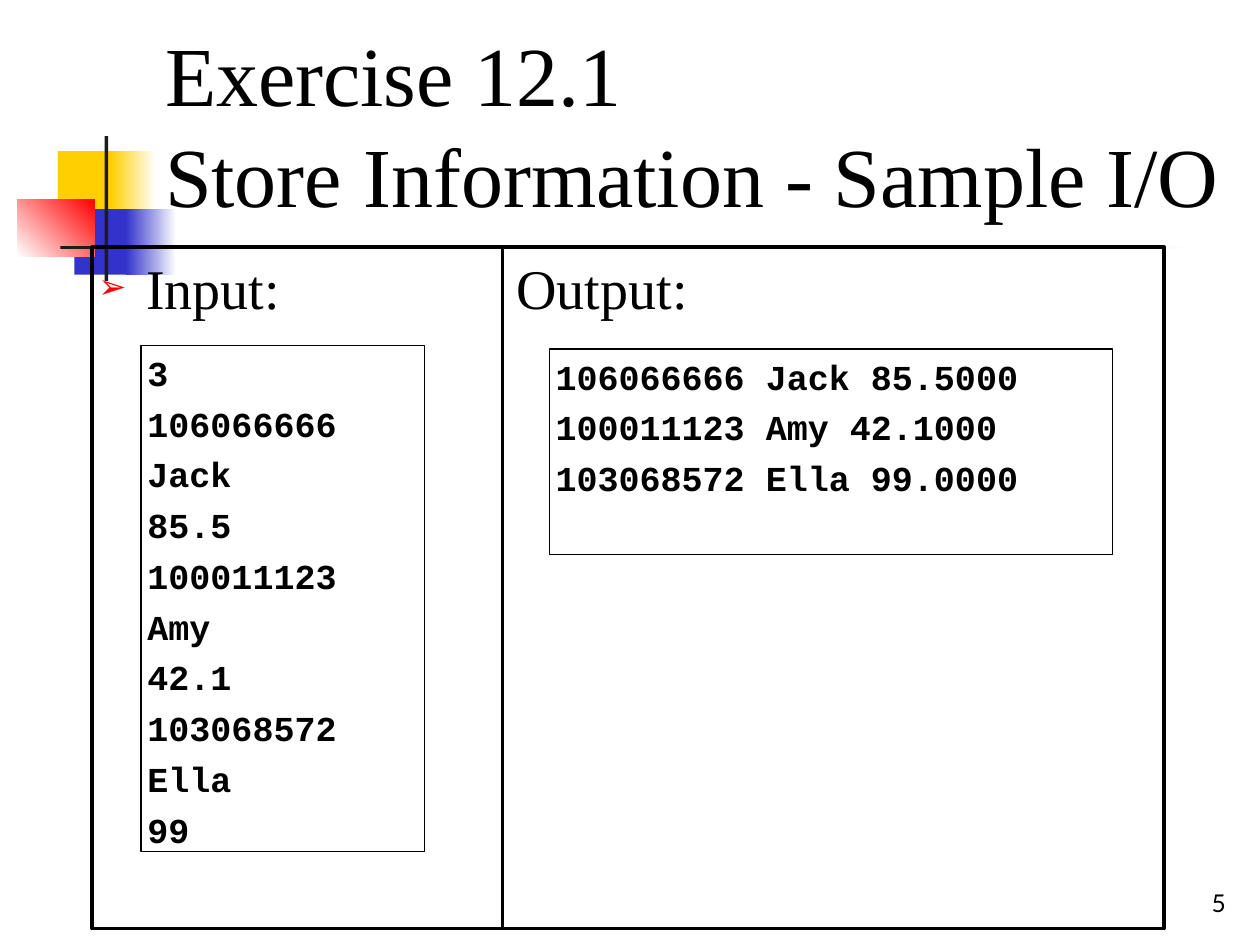
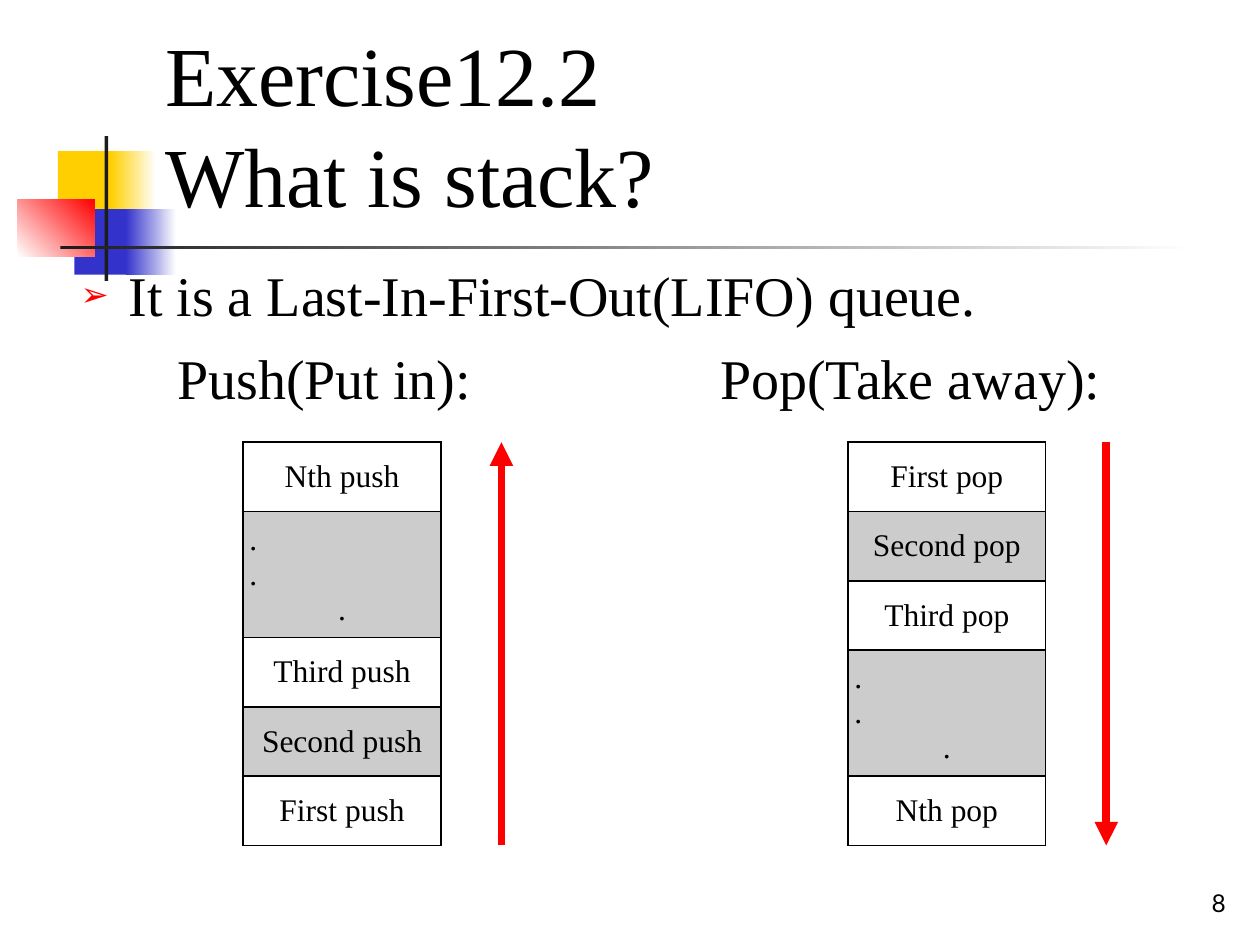
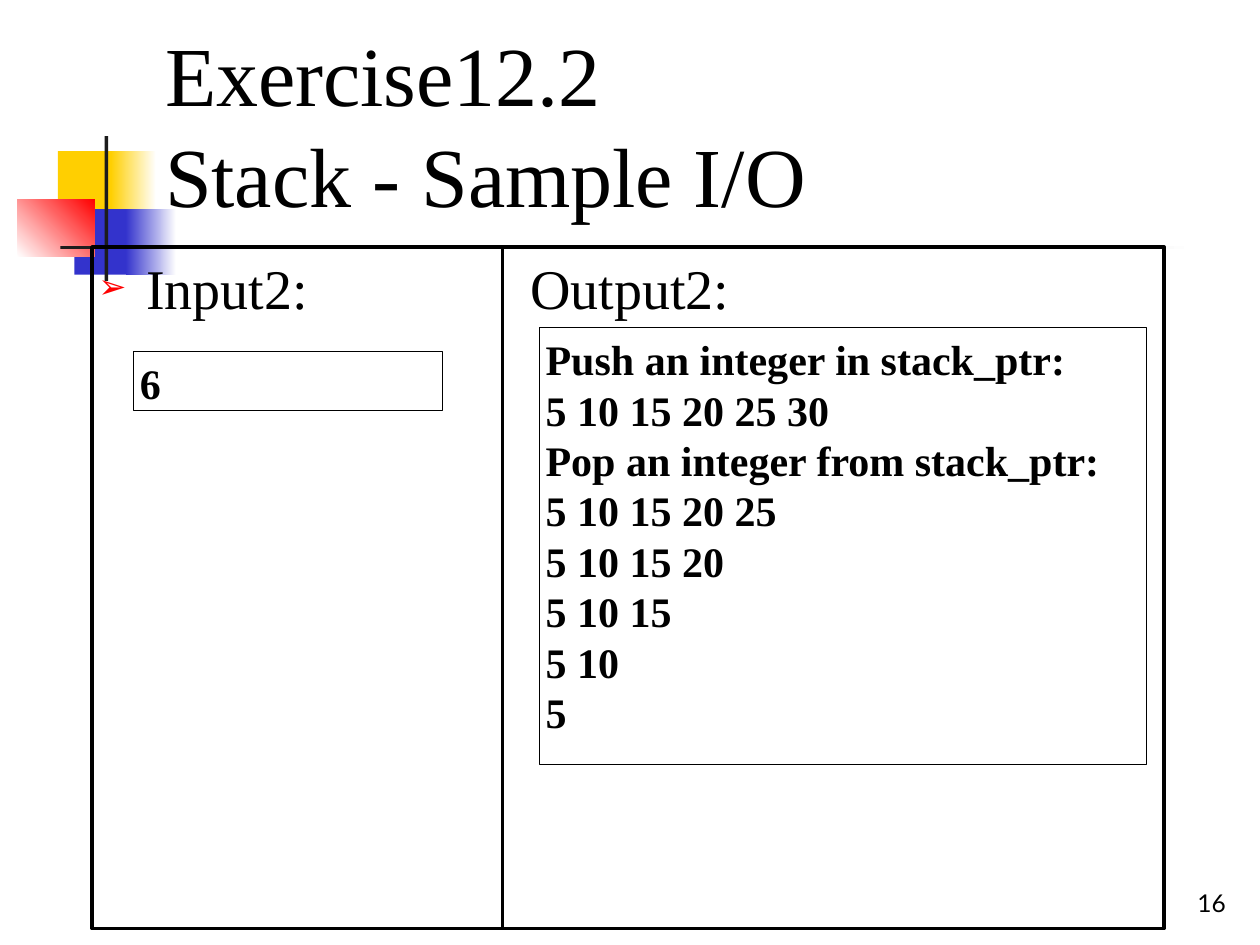
from lxml import etree
from pptx import Presentation
from pptx.dml.color import RGBColor
from pptx.enum.dml import MSO_FILL
from pptx.enum.shapes import MSO_CONNECTOR, MSO_SHAPE
from pptx.enum.text import MSO_ANCHOR, MSO_AUTO_SIZE, PP_ALIGN
from pptx.oxml.ns import qn
from pptx.util import Inches, Pt

BLACK = RGBColor(0x00, 0x00, 0x00)
WHITE = RGBColor(0xFF, 0xFF, 0xFF)
CHARCOAL = RGBColor(0x1C, 0x1C, 0x1C)
YELLOW = RGBColor(0xFF, 0xCF, 0x01)
BLUE = RGBColor(0x33, 0x33, 0xCC)
RED = RGBColor(0xFF, 0x00, 0x00)
GREY = RGBColor(0xCC, 0xCC, 0xCC)

SERIF = "Times New Roman"
MONO = "Courier New"
NUMBER_FONT = "Lato"
INSET = Inches(0.05)

# box, colours (two make a gradient), gradient angle
ORNAMENTS = [
    ((0.46, 1.2, 0.48, 0.52), (YELLOW,), 0),
    ((0.88, 1.2, 0.36, 0.52), (YELLOW, WHITE), 0),
    ((0.59, 1.66, 0.46, 0.52), (BLUE,), 0),
    ((1, 1.66, 0.4, 0.52), (BLUE, WHITE), 0),
    ((0.14, 1.58, 0.61, 0.46), (WHITE, RED), 45),
    ((0.83, 1.08, 0.03, 1.15), (CHARCOAL,), 0),
    ((0.48, 1.95, 9, 0.03), (CHARCOAL, WHITE), 0),
]
TITLE_BOX = (1.26, 0.23, 8.52, 1.6)
FRAME_BOX = (0.73, 1.96, 8.51, 5.41)
DIVIDER_OFFSET = 3.26
ROW_HEIGHT, DOTS_HEIGHT = 0.55, 1.0
DOTS = "..."


def place(shape, box):
    shape.left, shape.top, shape.width, shape.height = map(Inches, box)


def write(shape, lines, size, font=SERIF, bold=False, align=PP_ALIGN.LEFT,
          before=0, anchor=MSO_ANCHOR.TOP, wrap=True):
    """Fill a shape with one paragraph per line, all in one style."""
    frame = shape.text_frame
    frame.auto_size = MSO_AUTO_SIZE.NONE
    frame.word_wrap = wrap
    frame.vertical_anchor = anchor
    frame.margin_left = frame.margin_right = INSET
    frame.margin_top = frame.margin_bottom = INSET
    for index, line in enumerate(lines):
        paragraph = frame.add_paragraph() if index else frame.paragraphs[0]
        paragraph.space_before = Pt(before)
        add_run(paragraph, line, size, font, bold, align)


def add_run(paragraph, text, size, font=SERIF, bold=False, align=PP_ALIGN.CENTER):
    paragraph.alignment = align
    run = paragraph.add_run()
    run.text = text
    run.font.size = Pt(size)
    run.font.name = font
    run.font.bold = bold
    run.font.color.rgb = BLACK


def write_bullet(body, text):
    write(body, [text], 32, before=7)
    properties = body.text_frame.paragraphs[0]._p.get_or_add_pPr()
    properties.set("marL", str(Inches(0.38)))
    properties.set("indent", str(-Inches(0.38)))
    colour = etree.SubElement(properties, qn("a:buClr"))
    etree.SubElement(colour, qn("a:srgbClr"), val=str(RED))
    etree.SubElement(properties, qn("a:buSzPct"), val="60000")
    etree.SubElement(properties, qn("a:buFont"), typeface="Wingdings 2")
    etree.SubElement(properties, qn("a:buChar"), char="➢")
    properties.find(qn("a:buFont")).set("typeface", "Arial")


def add_heading(slide, box, text, align=PP_ALIGN.LEFT):
    heading = slide.shapes.add_textbox(*map(Inches, box))
    write(heading, [text], 32, align=align, before=7)


def add_line(slide, start, end, colour, width, arrow=False):
    line = slide.shapes.add_connector(
        MSO_CONNECTOR.STRAIGHT, *map(Inches, (*start, *end)))
    line.line.color.rgb = colour
    line.line.width = Pt(width)
    if arrow:
        etree.SubElement(line.line._get_or_add_ln(), qn("a:tailEnd"), type="triangle")
    etree.SubElement(line._element.spPr, qn("a:effectLst"))


def move_ornaments_to_master(slide, master):
    """Draw the corner squares and rules, then hand them to the master."""
    for index, (box, colours, angle) in enumerate(ORNAMENTS):
        ornament = slide.shapes.add_shape(MSO_SHAPE.RECTANGLE, *map(Inches, box))
        ornament.shadow.inherit = False
        ornament.line.fill.background()
        fill = ornament.fill
        if len(colours) == 1:
            fill.solid()
            fill.fore_color.rgb = colours[0]
        else:
            fill.gradient()
            fill.gradient_angle = angle
            for position, (stop, colour) in enumerate(zip(fill.gradient_stops, colours)):
                stop.position = position
                stop.color.rgb = colour
        master.shapes.element.insert(2 + index, ornament.element)


def add_titled_slide(deck, title_lines, number):
    slide = deck.slides.add_slide(deck.slide_layouts[1])
    place(slide.shapes.title, TITLE_BOX)
    write(slide.shapes.title, title_lines, 48, anchor=MSO_ANCHOR.BOTTOM)
    page = slide.shapes.add_textbox(*map(Inches, (9.28, 6.99, 0.5, 0.34)))
    write(page, [str(number)], 14, NUMBER_FONT, align=PP_ALIGN.RIGHT,
          anchor=MSO_ANCHOR.BOTTOM)
    return slide


def add_sample(slide, box, lines, size, font=SERIF, before=0):
    sample = slide.shapes.add_shape(MSO_SHAPE.RECTANGLE, *map(Inches, box))
    sample.shadow.inherit = False
    sample.fill.background()
    sample.line.color.rgb = BLACK
    sample.line.width = Pt(0.75)
    write(sample, lines, size, font, True, before=before)


def add_io_frame(slide, box, input_label, output_label, output_offset):
    left, top, width, height = box
    frame = slide.placeholders[1]
    place(frame, box)
    frame.line.color.rgb = BLACK
    frame.line.width = Pt(2)
    write_bullet(frame, input_label)
    add_heading(slide, (left + output_offset, top, 3, 0.65), output_label)
    divider = left + DIVIDER_OFFSET
    add_line(slide, (divider, top + height), (divider, top), BLACK, 2)


def border_cell(cell):
    properties = cell._tc.get_or_add_tcPr()
    for index, side in enumerate(("a:lnL", "a:lnR", "a:lnT", "a:lnB")):
        border = etree.Element(qn(side), w=str(Pt(1)))
        fill = etree.SubElement(border, qn("a:solidFill"))
        etree.SubElement(fill, qn("a:srgbClr"), val=str(BLACK))
        properties.insert(index, border)


def add_stack(slide, left, top, labels, upward):
    """Draw a stack from top to bottom, with the arrow of its order beside it."""
    heights = [DOTS_HEIGHT if label == DOTS else ROW_HEIGHT for label in labels]
    total = sum(heights)
    table = slide.shapes.add_table(
        len(labels), 1, *map(Inches, (left, top, 1.57, total))).table
    table.first_row = table.horz_banding = False
    for index, (label, height) in enumerate(zip(labels, heights)):
        table.rows[index].height = Inches(height)
        cell = table.cell(index, 0)
        cell.vertical_anchor = MSO_ANCHOR.MIDDLE
        cell.margin_left = cell.margin_right = INSET
        cell.margin_top = cell.margin_bottom = INSET
        if index % 2 or label == DOTS:
            cell.fill.solid()
            cell.fill.fore_color.rgb = GREY
        else:
            cell.fill.background()
        border_cell(cell)
        frame = cell.text_frame
        if label == DOTS:
            for align in (PP_ALIGN.LEFT, PP_ALIGN.LEFT, PP_ALIGN.CENTER):
                paragraph = frame.add_paragraph() if frame.text else frame.paragraphs[0]
                add_run(paragraph, ".", 18, align=align)
        else:
            add_run(frame.paragraphs[0], label, 18)
    arrow_x = left + 2.05
    ends = [(arrow_x, top), (arrow_x, top + total)]
    start, end = reversed(ends) if upward else ends
    add_line(slide, start, end, RED, 4.5, arrow=True)


def build_store_sample(deck):
    slide = add_titled_slide(
        deck, ["Exercise 12.1", "Store Information - Sample I/O"], 5)
    add_io_frame(slide, FRAME_BOX, "Input:", "Output:", 3.32)
    records = [("106066666", "Jack", "85.5"), ("100011123", "Amy", "42.1"),
               ("103068572", "Ella", "99")]
    typed = [str(len(records))] + [field for record in records for field in record]
    printed = [f"{number} {name} {float(score):.4f}" for number, name, score in records]
    add_sample(slide, (1.12, 2.74, 2.25, 4.02), typed, 20, MONO, 5)
    add_sample(slide, (4.36, 2.77, 4.47, 1.63), printed, 20, MONO, 5)


def build_stack_explanation(deck):
    slide = add_titled_slide(deck, ["Exercise12.2", "What is stack?"], 8)
    body = slide.placeholders[1]
    place(body, (0.59, 2.02, 9.32, 0.6))
    write_bullet(body, "It is a Last-In-First-Out(LIFO) queue.")
    add_heading(slide, (0.35, 2.68, 4.45, 0.65), "Push(Put in):", PP_ALIGN.CENTER)
    add_heading(slide, (4.67, 2.68, 5.11, 0.65), "Pop(Take away):", PP_ALIGN.CENTER)
    add_stack(slide, 1.93, 3.51,
              ["Nth push", DOTS, "Third push", "Second push", "First push"], True)
    add_stack(slide, 6.73, 3.51,
              ["First pop", "Second pop", "Third pop", DOTS, "Nth pop"], False)


def build_stack_sample(deck):
    slide = add_titled_slide(deck, ["Exercise12.2", "Stack - Sample I/O"], 16)
    add_io_frame(slide, FRAME_BOX, "Input2:", "Output2:", 3.43)
    count = 6
    states = [" ".join(str(5 * step) for step in range(1, size + 1))
              for size in range(count, 0, -1)]
    printed = ["Push an integer in stack_ptr:", states[0],
               "Pop an integer from stack_ptr:", *states[1:]]
    add_sample(slide, (1.06, 2.79, 2.45, 0.47), [str(count)], 24)
    add_sample(slide, (4.28, 2.6, 4.82, 3.47), printed, 24)


def main():
    deck = Presentation()
    deck.slide_width, deck.slide_height = Inches(10), Inches(7.5)
    build_store_sample(deck)
    build_stack_explanation(deck)
    build_stack_sample(deck)
    move_ornaments_to_master(deck.slides[0], deck.slide_master)
    deck.save("out.pptx")


if __name__ == "__main__":
    main()
